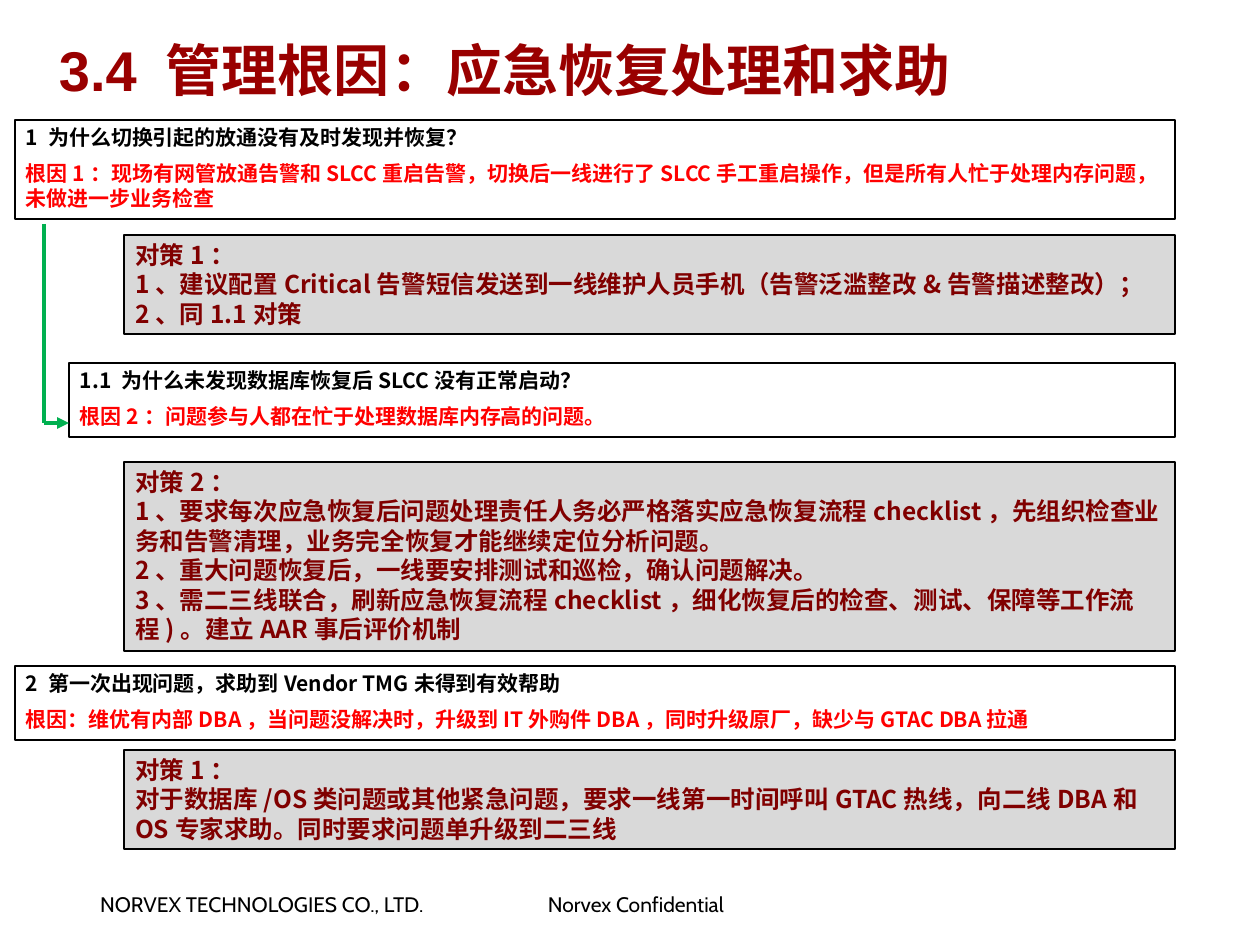
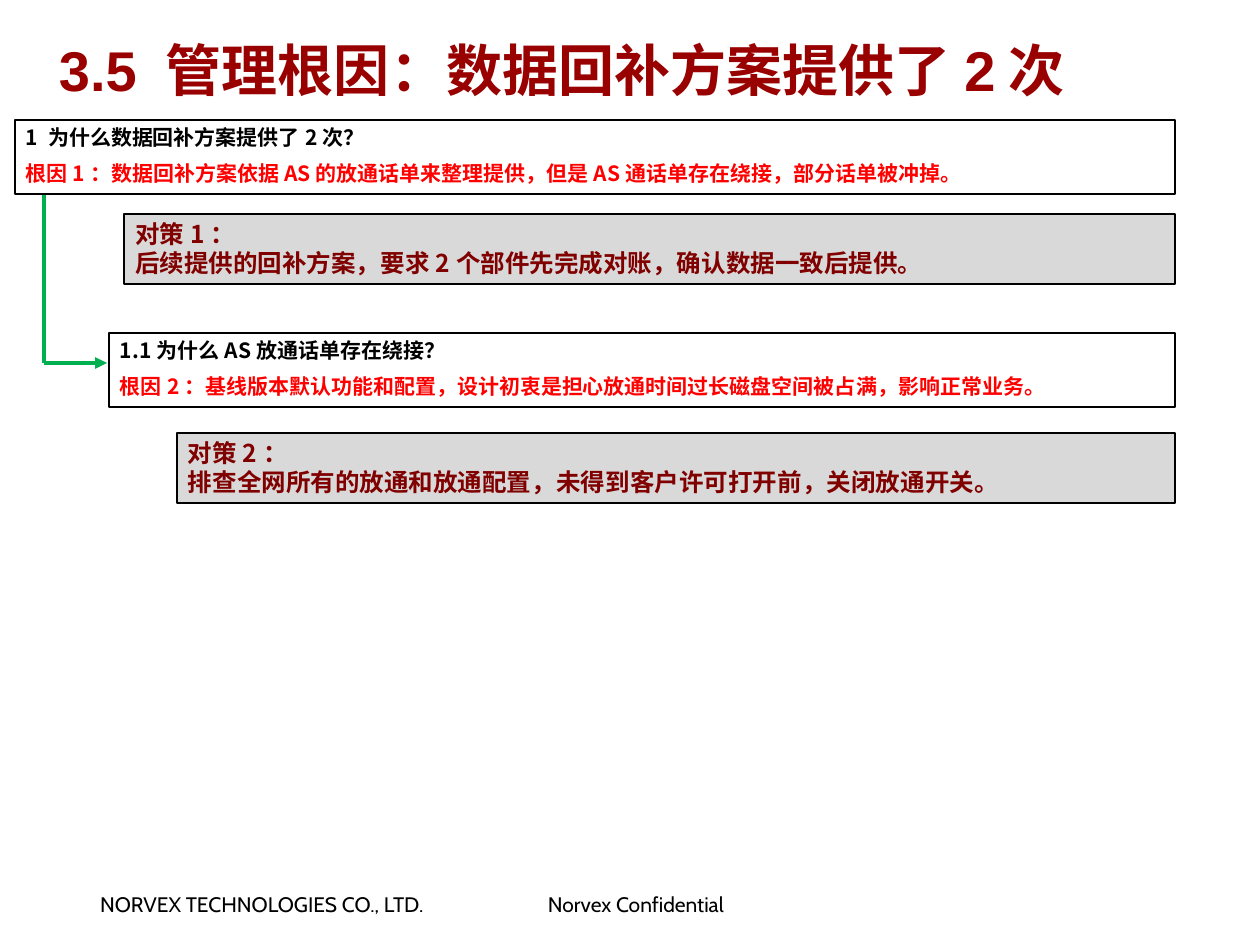
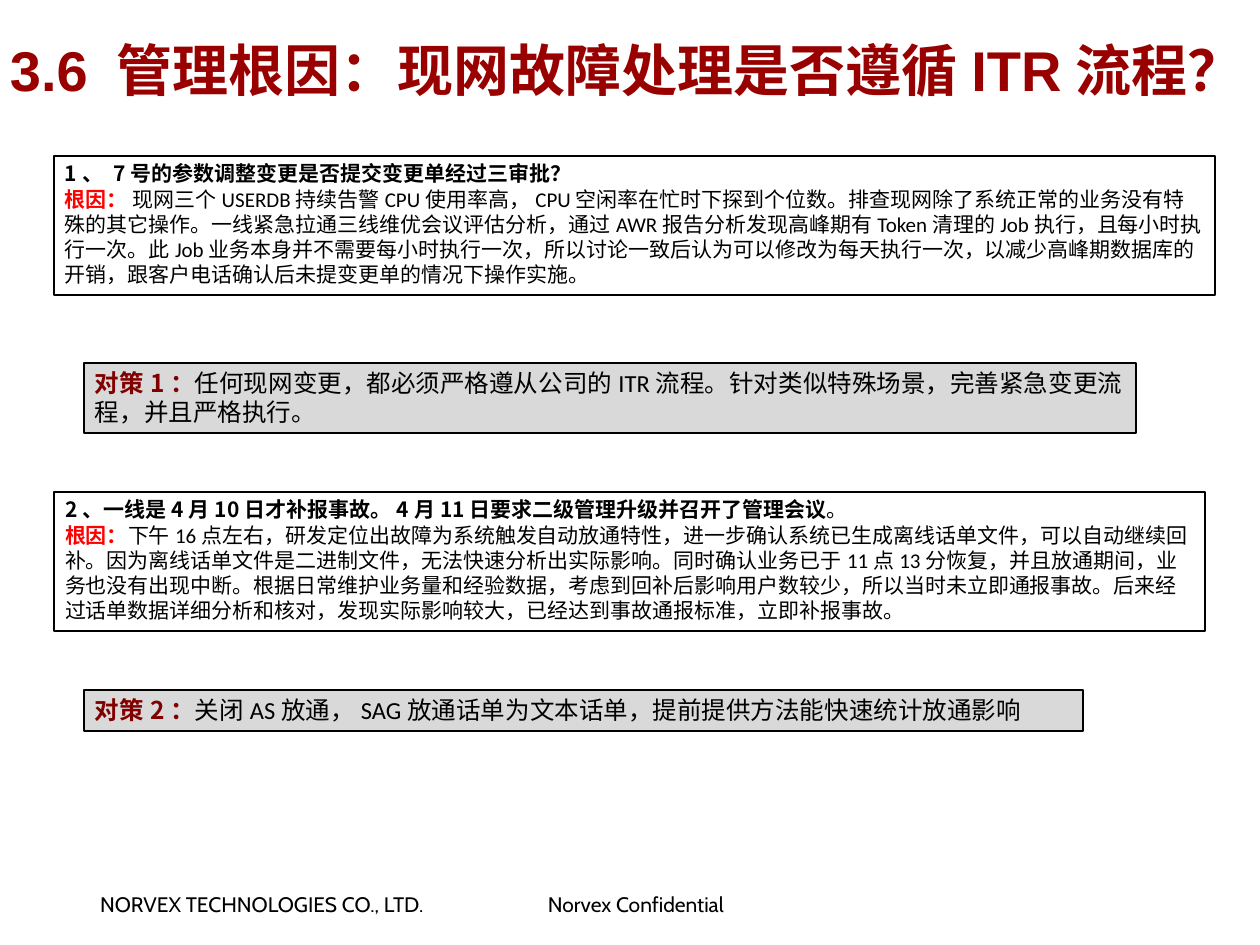
from dataclasses import dataclass

from lxml.etree import SubElement
from pptx import Presentation
from pptx.dml.color import RGBColor
from pptx.enum.shapes import MSO_CONNECTOR as Connector, MSO_SHAPE as Shape
from pptx.enum.text import MSO_ANCHOR as Anchor, PP_ALIGN as Align
from pptx.oxml.ns import qn
from pptx.util import Emu, Pt


@dataclass(frozen=True)
class Theme:
    black: str = "000000"
    red: str = "FF0000"
    maroon: str = "800000"
    title: str = "990000"
    grey: str = "D9D9D9"
    green: str = "00B050"
    cjk: str = "Noto Sans CJK SC"
    latin: str = "Calibri"
    heading: str = "Arial"
    footer: str = "Cabin"
    issue_size: int = 12
    action_size: int = 14
    title_size: int = 32
    leading: float = 1.2
    border: float = 0.75
    arrow: float = 2.25


THEME = Theme()
PX = 914400 / 126
RIGHT = 1175
INSETS = {"margin_left": 11, "margin_right": 11, "margin_top": 5, "margin_bottom": 5}

STYLES = {
    "title": (THEME.title_size, THEME.heading, THEME.title, True),
    "footer": (THEME.issue_size, THEME.footer, THEME.black, False),
    "question": (THEME.issue_size, THEME.cjk, THEME.black, True),
    "cause": (THEME.issue_size, THEME.cjk, THEME.red, True),
    "detail": (THEME.issue_size, THEME.latin, THEME.black, False),
    "action": (THEME.action_size, THEME.cjk, THEME.maroon, True),
    "plain": (THEME.action_size, THEME.latin, THEME.black, False),
}

FOOTERS = [
    (89, 887, 360, 37, "NORVEX TECHNOLOGIES CO., LTD."),
    (537, 887, 224, 37, "Norvex Confidential"),
]


def issue(left, top, height, question, cause):
    paras = [[("question", question)], [("cause", cause)]]
    return left, top, RIGHT - left, height, None, 6, paras


def action(left, top, height, *lines):
    paras = [[("action", line)] for line in lines]
    return left, top, RIGHT - left, height, THEME.grey, 0, paras


def report(top, width, *paras):
    return 54, top, width, 139, None, 0, paras


def remedy(top, width, height, label, text):
    return 84, top, width, height, THEME.grey, 0, [[("action", label), ("plain", text)]]


SLIDES = [
    {
        "title": ("3.4 管理根因：应急恢复处理和求助", 59, 1067),
        "boxes": [
            issue(15, 120, 99, "1 为什么切换引起的放通没有及时发现并恢复？",
                  "根因1：现场有网管放通告警和SLCC重启告警，切换后一线进行了SLCC手工重启操作，"
                  "但是所有人忙于处理内存问题，未做进一步业务检查"),
            action(124, 235, 99, "对策1：",
                   "1、建议配置Critical告警短信发送到一线维护人员手机（告警泛滥整改&告警描述整改）；",
                   "2、同1.1对策"),
            issue(69, 363, 74, "1.1 为什么未发现数据库恢复后SLCC没有正常启动？",
                  "根因2：问题参与人都在忙于处理数据库内存高的问题。"),
            action(124, 462, 189, "对策2：",
                   "1、要求每次应急恢复后问题处理责任人务必严格落实应急恢复流程checklist，"
                   "先组织检查业务和告警清理，业务完全恢复才能继续定位分析问题。",
                   "2、重大问题恢复后，一线要安排测试和巡检，确认问题解决。",
                   "3、需二三线联合，刷新应急恢复流程checklist，细化恢复后的检查、测试、"
                   "保障等工作流程)。建立AAR事后评价机制"),
            issue(15, 666, 74, "2 第一次出现问题，求助到Vendor TMG未得到有效帮助",
                  "根因：维优有内部DBA，当问题没解决时，升级到IT外购件DBA，同时升级原厂，"
                  "缺少与GTAC DBA拉通"),
            action(124, 750, 99, "对策1：",
                   "对于数据库/OS类问题或其他紧急问题，要求一线第一时间呼叫GTAC热线，"
                   "向二线DBA和OS专家求助。同时要求问题单升级到二三线"),
        ],
        "arrow": [(44, 224), (44, 423), (69, 423)],
    },
    {
        "title": ("3.5 管理根因：数据回补方案提供了2次", 59, 1067),
        "boxes": [
            issue(15, 120, 74, "1 为什么数据回补方案提供了2次？",
                  "根因1：数据回补方案依据AS的放通话单来整理提供，但是AS通话单存在绕接，"
                  "部分话单被冲掉。"),
            action(124, 214, 70, "对策1：",
                   "后续提供的回补方案，要求2个部件先完成对账，确认数据一致后提供。"),
            issue(109, 333, 74, "1.1为什么AS放通话单存在绕接？",
                  "根因2：基线版本默认功能和配置，设计初衷是担心放通时间过长磁盘空间被占满，"
                  "影响正常业务。"),
            action(177, 433, 70, "对策2：",
                   "排查全网所有的放通和放通配置，未得到客户许可打开前，关闭放通开关。"),
        ],
        "arrow": [(44, 195), (44, 363), (107, 363)],
    },
    {
        "title": ("3.6 管理根因：现网故障处理是否遵循ITR流程？", 10, 1225),
        "boxes": [
            report(156, 1161,
                   [("question", "1、 7号的参数调整变更是否提交变更单经过三审批？")],
                   [("cause", "根因： "),
                    ("detail", "现网三个USERDB持续告警CPU使用率高，CPU空闲率在忙时下探到个位数。"
                     "排查现网除了系统正常的业务没有特殊的其它操作。一线紧急拉通三线维优会议评估分析，"
                     "通过AWR报告分析发现高峰期有Token清理的Job执行，且每小时执行一次。"
                     "此Job业务本身并不需要每小时执行一次，所以讨论一致后认为可以修改为每天执行一次，"
                     "以减少高峰期数据库的开销，跟客户电话确认后未提变更单的情况下操作实施。")]),
            remedy(363, 1052, 70, "对策1：",
                   "任何现网变更，都必须严格遵从公司的ITR流程。针对类似特殊场景，"
                   "完善紧急变更流程，并且严格执行。"),
            report(492, 1151,
                   [("question", "2、一线是4月10日才补报事故。4月11日要求二级管理升级并召开了管理会议"),
                    ("detail", "。")],
                   [("cause", "根因："),
                    ("detail", "下午16点左右，研发定位出故障为系统触发自动放通特性，"
                     "进一步确认系统已生成离线话单文件，可以自动继续回补。"
                     "因为离线话单文件是二进制文件，无法快速分析出实际影响。"
                     "同时确认业务已于11点13分恢复，并且放通期间，业务也没有出现中断。"
                     "根据日常维护业务量和经验数据，考虑到回补后影响用户数较少，所以当时未立即通报事故。"
                     "后来经过话单数据详细分析和核对，发现实际影响较大，已经达到事故通报标准，"
                     "立即补报事故。")]),
            remedy(690, 999, 41, "对策2：",
                   "关闭AS放通，SAG放通话单为文本话单，提前提供方法能快速统计放通影响"),
        ],
        "arrow": [],
    },
]


def px(*values):
    return [Emu(round(value * PX)) for value in values]


def rgb(code):
    return RGBColor.from_string(code)


def apply(target, values):
    for name, value in values.items():
        setattr(target, name, value)


def write(box, paras, gap=0, wrap=True, anchor=Anchor.TOP, **insets):
    frame = box.text_frame
    margins = {name: px(value)[0] for name, value in {**INSETS, **insets}.items()}
    apply(frame, {"word_wrap": wrap, "vertical_anchor": anchor, **margins})
    for index, spans in enumerate(paras):
        para = frame.add_paragraph() if index else frame.paragraphs[0]
        size = STYLES[spans[0][0]][0]
        apply(para, {
            "alignment": Align.LEFT,
            "line_spacing": Pt(size * THEME.leading),
            "space_before": Pt(gap if index else 0),
        })
        for style, text in spans:
            add_span(para, style, text)


def add_span(para, style, text):
    size, name, color, bold = STYLES[style]
    span = para.add_run()
    span.text = text
    apply(span.font, {"size": Pt(size), "name": name, "bold": bold})
    span.font.color.rgb = rgb(color)
    SubElement(span.font._element, qn("a:ea")).set("typeface", THEME.cjk)


def add_box(page, left, top, width, height, fill, gap, paras):
    box = page.shapes.add_shape(Shape.RECTANGLE, *px(left, top, width, height))
    box.shadow.inherit = False
    if fill:
        box.fill.solid()
        box.fill.fore_color.rgb = rgb(fill)
    else:
        box.fill.background()
    box.line.color.rgb = rgb(THEME.black)
    box.line.width = Pt(THEME.border)
    write(box, paras, gap)


def add_arrow(page, points):
    for start, end in zip(points, points[1:]):
        line = page.shapes.add_connector(Connector.STRAIGHT, *px(*start, *end))
        line.line.color.rgb = rgb(THEME.green)
        line.line.width = Pt(THEME.arrow)
        if end == points[-1]:
            SubElement(line.line._get_or_add_ln(), qn("a:tailEnd")).set("type", "triangle")
        SubElement(line._element.spPr, qn("a:effectLst"))


def add_page(deck, content):
    page = deck.slides.add_slide(deck.slide_layouts[6])
    for *place, text in FOOTERS:
        write(page.shapes.add_textbox(*px(*place)), [[("footer", text)]], wrap=False)
    title, left, width = content["title"]
    box = page.shapes.add_textbox(*px(left, 26, width, 86))
    write(box, [[("title", title)]], anchor=Anchor.MIDDLE, margin_left=0)
    for part in content["boxes"]:
        add_box(page, *part)
    add_arrow(page, content["arrow"])


def main():
    deck = Presentation()
    deck.slide_width, deck.slide_height = px(1260, 945)
    for content in SLIDES:
        add_page(deck, content)
    deck.save("out.pptx")


if __name__ == "__main__":
    main()
